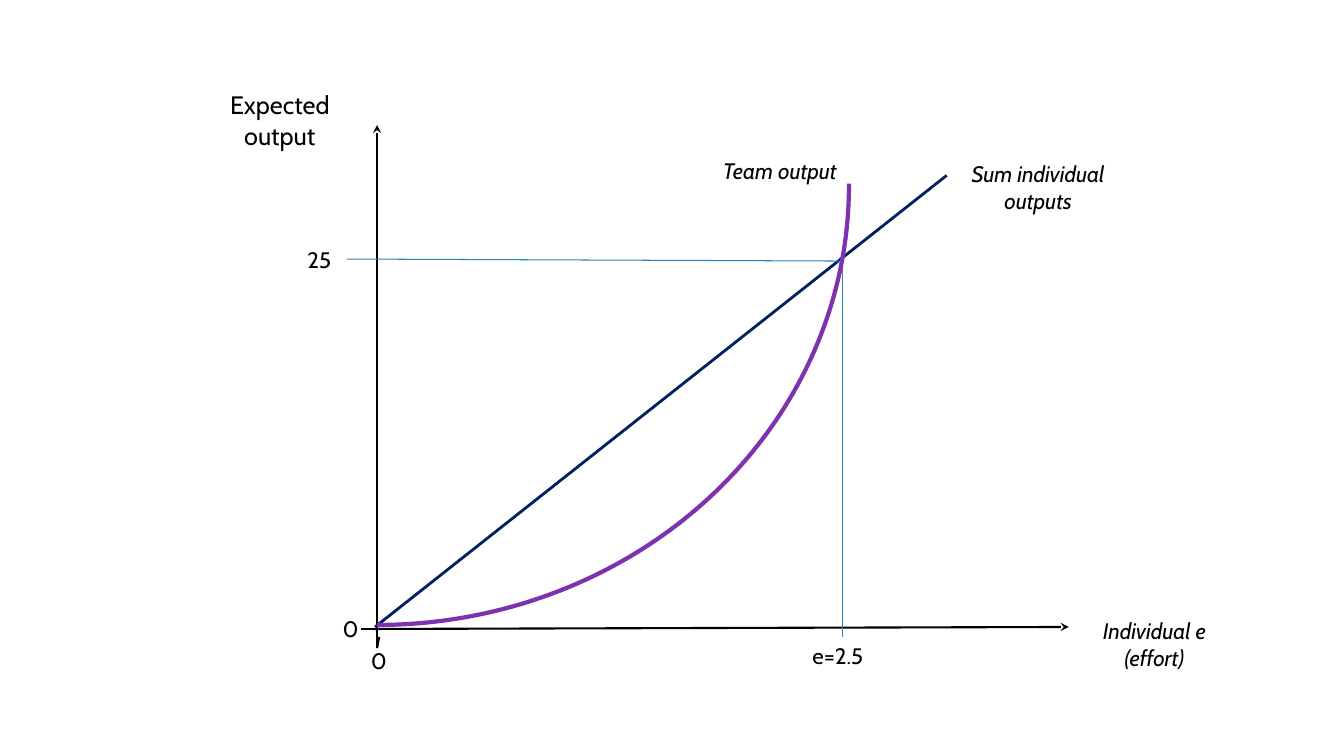
from pptx import Presentation
from pptx.dml.color import RGBColor
from pptx.enum.shapes import MSO_CONNECTOR as CONN, MSO_SHAPE as SHAPE
from pptx.enum.text import PP_ALIGN as ALIGN
from pptx.oxml.ns import qn
from pptx.util import Inches, Pt
from lxml.etree import SubElement

THEME = {
    "font": "Cabin", "text": "000000", "title_size": 18, "label_size": 16,
    "axis": ("000000", 1.5), "individual": ("002060", 2),
    "guide": ("2683BF", 0.75), "team": ("7E32B0", 3),
}

# Content: lines as start, end, style, arrowhead at start
AXES = [
    ((3.74, 1.24), (3.74, 6.42), "axis", True),
    ((10.6, 6.22), (3.72, 6.24), "axis", True),
    ((3.74, 6.43), (3.76, 6.32), "axis", False),
    ((3.58, 6.24), (3.76, 6.24), "axis", False),
]
INDIVIDUAL_OUTPUT = ((3.72, 6.22), (9.39, 1.74), "individual", False)
EFFORT_GUIDE = ((8.36, 2.57), (8.36, 6.32), "guide", False)
OUTPUT_GUIDE = ((8.34, 2.59), (3.44, 2.57), "guide", False)

# Team output: quarter ellipse around a centre, running down to the origin
CURVE_CENTER, CURVE_SIZE = (3.74, 1.84), (8.72, 9.36)
CURVE_START, CURVE_END = 161.86, 0

# Labels: text, box, size, centred, italic
LABELS = [
    ("Expected output", (1.97, 0.84, 1.61, 0.71), "title_size", True, False),
    ("0", (3.58, 6.37, 0.43, 0.37), "label_size", False, False),
    ("0", (3.3, 6.05, 0.28, 0.37), "label_size", False, False),
    ("Sum individual outputs", (9.44, 1.54, 1.71, 0.64), "label_size", True, True),
    ("Individual e (effort)", (10.6, 6.07, 1.7, 0.64), "label_size", True, True),
    ("e=2.5", (7.96, 6.32, 0.77, 0.37), "label_size", False, False),
    ("25", (2.95, 2.39, 0.47, 0.37), "label_size", False, False),
    ("Team output", (6.88, 1.51, 1.71, 0.37), "label_size", True, True),
]


def style_line(line, style):
    color, width = THEME[style]
    line.color.rgb = RGBColor.from_string(color)
    line.width = Pt(width)


def add_line(s, start, end, style, arrow):
    cx = s.shapes.add_connector(CONN.STRAIGHT, *map(Inches, start + end))
    style_line(cx.line, style)
    if arrow:
        SubElement(cx.line._get_or_add_ln(), qn("a:headEnd"), type="stealth")
    SubElement(cx._element.spPr, qn("a:effectLst"))


def add_curve(s):
    (x, y), (w, h) = CURVE_CENTER, CURVE_SIZE
    sp = s.shapes.add_shape(SHAPE.ARC, *map(Inches, (x - w / 2, y - h / 2, w, h)))
    sp.rotation = 90
    sp.adjustments[0], sp.adjustments[1] = CURVE_START, CURVE_END
    sp.shadow.inherit = False
    sp.fill.background()
    style_line(sp.line, "team")


def add_label(s, text, box, size, centred, italic):
    tf = s.shapes.add_textbox(*map(Inches, box)).text_frame
    tf.word_wrap = True
    p = tf.paragraphs[0]
    p.alignment = ALIGN.CENTER if centred else ALIGN.LEFT
    r = p.add_run()
    r.text = text
    formats = {"name": THEME["font"], "size": Pt(THEME[size]), "italic": italic}
    for key, value in formats.items():
        setattr(r.font, key, value)
    r.font.color.rgb = RGBColor.from_string(THEME["text"])


prs = Presentation()
prs.slide_width, prs.slide_height = Inches(13.33), Inches(7.5)
s = prs.slides.add_slide(prs.slide_layouts[6])

# Axes, output lines and guides, back to front
for line in AXES + [INDIVIDUAL_OUTPUT, EFFORT_GUIDE]:
    add_line(s, *line)
add_curve(s)
add_line(s, *OUTPUT_GUIDE)

# Labels
for label in LABELS:
    add_label(s, *label)

prs.save("out.pptx")
